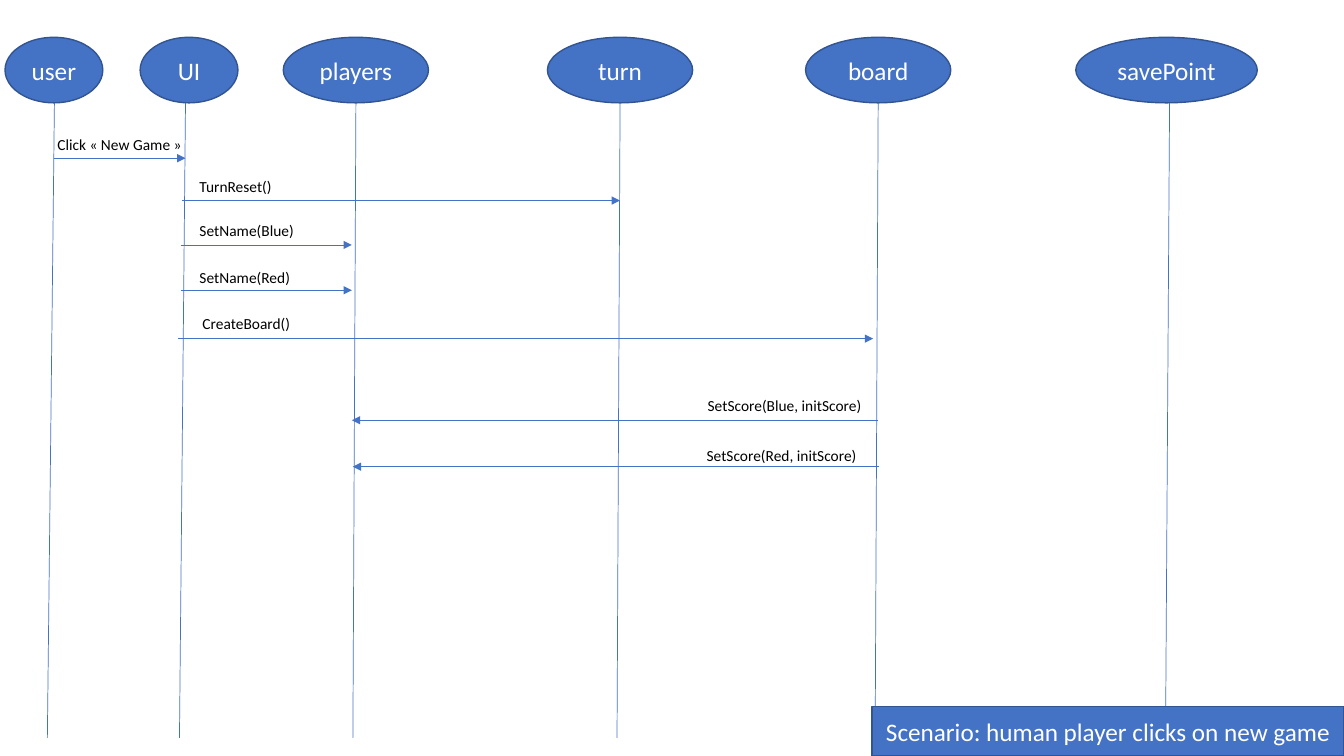
import pptx
import pptx.dml.color
import pptx.enum.shapes
import pptx.enum.text
import pptx.oxml.ns
import pptx.util
from lxml import etree

Inches = pptx.util.Inches
Pt = pptx.util.Pt
Shape = pptx.enum.shapes.MSO_SHAPE
BLUE = pptx.dml.color.RGBColor(0x44, 0x72, 0xC4)
NAVY = pptx.dml.color.RGBColor(0x32, 0x54, 0x91)
WHITE = pptx.dml.color.RGBColor(0xFF, 0xFF, 0xFF)
BLACK = pptx.dml.color.RGBColor(0x00, 0x00, 0x00)
FONT = "Calibri"

SLIDE_WIDTH, SLIDE_HEIGHT = 13.33, 7.5
HEAD_TOP, HEAD_HEIGHT = 0.37, 0.65
LIFELINE_TOP, LIFELINE_FOOT = HEAD_TOP + HEAD_HEIGHT, 7.32
LABEL_HEIGHT = 0.29

# name, left and width of the head, x of the lifeline at its top and foot
PARTICIPANTS = [
    ("user", 0.05, 0.97, 0.54, 0.47),
    ("UI", 1.39, 0.97, 1.84, 1.78),
    ("players", 2.81, 1.44, 3.53, 3.50),
    ("turn", 5.43, 1.44, 6.15, 6.12),
    ("board", 7.99, 1.44, 8.71, 8.68),
    ("savePoint", 10.67, 1.80, 11.60, 11.56),
]

# wording, x of sender and receiver, y of the arrow, left and top of the label
MESSAGES = [
    ("Click «\u00a0New Game\u00a0»", 0.54, 1.84, 1.57, 0.47, 1.29),
    ("TurnReset()", 1.81, 6.15, 1.99, 1.88, 1.71),
    ("SetName(Blue)", 1.80, 3.49, 2.43, 1.88, 2.14),
    ("SetName(Red)", 1.80, 3.49, 2.88, 1.88, 2.61),
    ("CreateBoard()", 1.77, 8.66, 3.36, 1.91, 3.07),
    ("SetScore(Blue, initScore)", 8.71, 3.49, 4.17, 6.92, 3.88),
    ("SetScore(Red, initScore)", 8.72, 3.50, 4.63, 6.91, 4.38),
]

SCENARIO = "Scenario: human player clicks on new game"
BANNER_WIDTH, BANNER_HEIGHT = 4.68, 0.49


def write(shape, text, size, color):
    """Put one line of text into a shape and set its font."""
    paragraph = shape.text_frame.paragraphs[0]
    paragraph.text = text
    paragraph.font.name = FONT
    paragraph.font.size = Pt(size)
    paragraph.font.color.rgb = color
    return paragraph


def add_block(page, kind, text, left, top, width, height):
    """Add a filled shape with centred white text."""
    block = page.shapes.add_shape(
        kind, Inches(left), Inches(top), Inches(width), Inches(height))
    block.shadow.inherit = False
    block.fill.solid()
    block.fill.fore_color.rgb = BLUE
    block.line.color.rgb = NAVY
    block.line.width = Pt(1)
    block.text_frame.word_wrap = True
    block.text_frame.vertical_anchor = pptx.enum.text.MSO_ANCHOR.MIDDLE
    paragraph = write(block, text, 18, WHITE)
    paragraph.alignment = pptx.enum.text.PP_ALIGN.CENTER


def add_line(page, start, end, arrow=False):
    """Draw a thin line between two points, with an arrowhead if asked."""
    line = page.shapes.add_connector(
        pptx.enum.shapes.MSO_CONNECTOR.STRAIGHT,
        *(Inches(length) for length in start + end))
    line.line.color.rgb = BLUE
    line.line.width = Pt(0.5)
    if arrow:
        tail = etree.SubElement(
            line.line._get_or_add_ln(), pptx.oxml.ns.qn("a:tailEnd"))
        tail.set("type", "triangle")
    etree.SubElement(line._element.spPr, pptx.oxml.ns.qn("a:effectLst"))


def add_label(page, text, left, top, width):
    """Add the wording of a message."""
    box = page.shapes.add_textbox(
        Inches(left), Inches(top), Inches(width), Inches(LABEL_HEIGHT))
    box.text_frame.word_wrap = True
    write(box, text, 11, BLACK)


deck = pptx.Presentation()
deck.slide_width = Inches(SLIDE_WIDTH)
deck.slide_height = Inches(SLIDE_HEIGHT)
page = deck.slides.add_slide(deck.slide_layouts[6])

for name, left, width, line_top, line_foot in PARTICIPANTS:
    add_block(page, Shape.OVAL, name, left, HEAD_TOP, width, HEAD_HEIGHT)
    add_line(page, (line_top, LIFELINE_TOP), (line_foot, LIFELINE_FOOT))

for text, sender, receiver, y, left, top in MESSAGES:
    add_line(page, (sender, y), (receiver, y), arrow=True)
    label_width = 1.59 if sender < receiver else 1.82
    add_label(page, text, left, top, label_width)

add_block(page, Shape.RECTANGLE, SCENARIO,
          SLIDE_WIDTH - BANNER_WIDTH, SLIDE_HEIGHT - BANNER_HEIGHT,
          BANNER_WIDTH, BANNER_HEIGHT)

deck.save("out.pptx")
